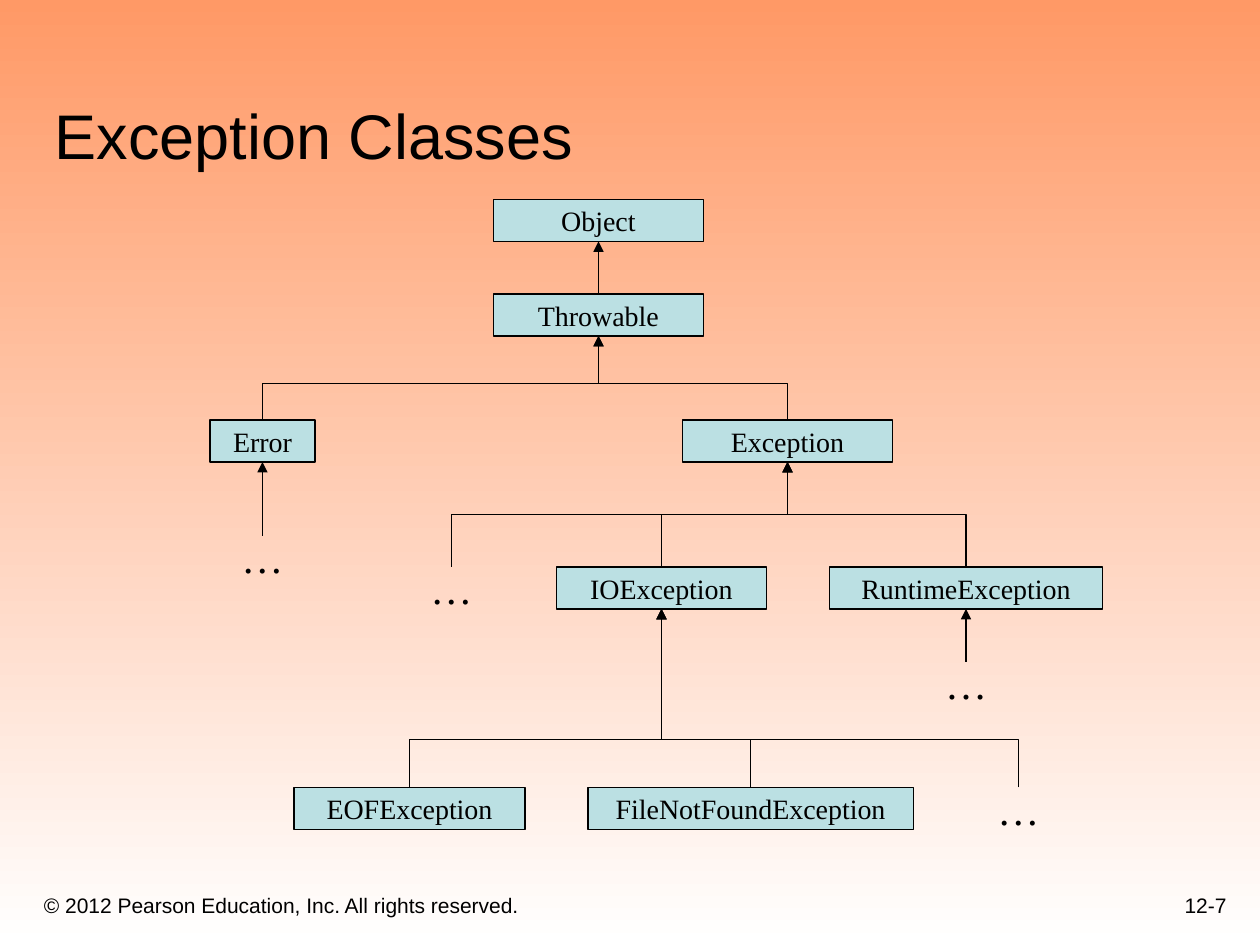
from lxml import etree
from pptx import Presentation
from pptx.dml.color import RGBColor
from pptx.enum.shapes import MSO_CONNECTOR, MSO_SHAPE
from pptx.enum.text import MSO_ANCHOR, PP_ALIGN
from pptx.oxml.ns import qn
from pptx.util import Inches, Pt

LEFT, CENTER, RIGHT = PP_ALIGN.LEFT, PP_ALIGN.CENTER, PP_ALIGN.RIGHT
MIDDLE, BOTTOM = MSO_ANCHOR.MIDDLE, MSO_ANCHOR.BOTTOM
STRAIGHT, ELBOW = MSO_CONNECTOR.STRAIGHT, MSO_CONNECTOR.ELBOW
RECTANGLE = MSO_SHAPE.RECTANGLE

TITLE_ONLY = 5
UNIT = Inches(1) // 12  # grid of 120 columns by 90 rows
BOX_ROWS = 4
DOTS_COLUMNS = 8
TOP_SITE, BOTTOM_SITE = 0, 2

# name: (column, row, columns)
CLASSES = {
    "Object": (47, 19, 20),
    "Throwable": (47, 28, 20),
    "Exception": (65, 40, 20),
    "Error": (20, 40, 10),
    "RuntimeException": (79, 54, 26),
    "IOException": (53, 54, 20),
    "FileNotFoundException": (56, 75, 31),
    "EOFException": (28, 75, 22),
}
# parent class of the further subclasses: (column, row)
MORE_SUBCLASSES = {
    "Error": (21, 51),
    "RuntimeException": (88, 63),
    "IOException": (93, 75),
    "Exception": (39, 54),
}
# parent: (children, share of the way up at which the branch bends)
BRANCHES = {
    "Object": (["Throwable"], 0.5),
    "Throwable": (["Error", "Exception"], 0.43),
    "Error": ([], 0.5),
    "Exception": (["IOException", "RuntimeException"], 0.5),
    "RuntimeException": ([], 0.5),
    "IOException": (["FileNotFoundException", "EOFException"], 0.27),
}


def color(value):
    return RGBColor.from_string(value)


def middle(shape):
    return shape.left + shape.width // 2


class ClassDiagram:
    """Holds the style and the slide that is being drawn."""
    ink = "000000"
    box_fill = "BBE0E3"
    background = ("FF9966", "FFFFFF")
    sans, serif = "Arial", "Times New Roman"
    line_width = Pt(0.75)

    def __init__(self, presentation):
        self.slide = presentation.slides.add_slide(
            presentation.slide_layouts[TITLE_ONLY])
        fill = self.slide.background.fill
        fill.gradient()
        fill.gradient_angle = 270
        for stop, value in zip(fill.gradient_stops, self.background):
            stop.color.rgb = color(value)

    def add_text(self, shape, text, size, font, align, anchor, wrap=True):
        frame = shape.text_frame
        frame.word_wrap = wrap
        frame.vertical_anchor = anchor
        paragraph = frame.paragraphs[0]
        paragraph.alignment = align
        run = paragraph.add_run()
        run.text = text
        run.font.size = Pt(size)
        run.font.name = font
        run.font.color.rgb = color(self.ink)

    def title(self, text, column, row, columns, rows):
        shape = self.slide.shapes.title
        shape.left, shape.top, shape.width, shape.height = (
            length * UNIT for length in (column, row, columns, rows))
        self.add_text(shape, text, 36, self.sans, LEFT, BOTTOM)

    def footer(self, text, column, row, columns, rows, align):
        shape = self.slide.shapes.add_textbox(
            *(length * UNIT for length in (column, row, columns, rows)))
        self.add_text(shape, text, 12, self.sans, align, BOTTOM)

    def class_box(self, name, column, row, columns):
        shape = self.slide.shapes.add_shape(
            RECTANGLE, column * UNIT, row * UNIT, columns * UNIT, BOX_ROWS * UNIT)
        shape.shadow.inherit = False
        shape.fill.solid()
        shape.fill.fore_color.rgb = color(self.box_fill)
        shape.line.color.rgb = color(self.ink)
        shape.line.width = self.line_width
        self.add_text(shape, name, 16, self.serif, CENTER, MIDDLE, wrap=False)
        return shape

    def dots(self, column, row):
        shape = self.slide.shapes.add_textbox(
            column * UNIT, row * UNIT, DOTS_COLUMNS * UNIT, BOX_ROWS * UNIT)
        self.add_text(shape, "…", 24, self.serif, CENTER, MIDDLE, wrap=False)
        return shape

    def inherit(self, child, parent, bend):
        """Draw the arrow from the top of child to the bottom of parent."""
        start = middle(child), child.top
        end = middle(parent), parent.top + parent.height
        straight = start[0] == end[0]
        connector = self.slide.shapes.add_connector(
            STRAIGHT if straight else ELBOW, *start, *end)
        if straight:
            connector.begin_connect(child, TOP_SITE)
            connector.end_connect(parent, BOTTOM_SITE)
        else:
            self.turn_upright(connector, start, end, bend)
        connector.line.color.rgb = color(self.ink)
        connector.line.width = self.line_width
        properties = connector._element.spPr
        etree.SubElement(properties.find(qn("a:ln")), qn("a:tailEnd"), type="triangle")
        etree.SubElement(properties, qn("a:effectLst"))

    def turn_upright(self, connector, start, end, bend):
        """Turn an elbow so that it leaves and arrives vertically."""
        width, height = abs(end[0] - start[0]), start[1] - end[1]
        connector.left = (start[0] + end[0] - height) // 2
        connector.top = (start[1] + end[1] - width) // 2
        connector.width, connector.height = height, width
        from_left = start[0] < end[0]
        properties = connector._element.spPr
        transform = properties.find(qn("a:xfrm"))
        transform.set("rot", str((90 if from_left else 270) * 60000))
        transform.set("flipH", "1" if from_left else "0")
        transform.set("flipV", "1")
        adjustments = properties.find(qn("a:prstGeom")).find(qn("a:avLst"))
        etree.SubElement(adjustments, qn("a:gd"), name="adj1",
                         fmla=f"val {round(bend * 100000)}")


def main():
    presentation = Presentation()
    presentation.slide_width, presentation.slide_height = 120 * UNIT, 90 * UNIT
    diagram = ClassDiagram(presentation)
    diagram.title("Exception Classes", 4, 4, 113, 13)
    diagram.footer("© 2012 Pearson Education, Inc. All rights reserved.",
                   3, 83, 73, 5, LEFT)
    diagram.footer("12-7", 93, 82, 25, 6, RIGHT)

    boxes = {name: diagram.class_box(name, *place) for name, place in CLASSES.items()}
    more = {name: diagram.dots(*place) for name, place in MORE_SUBCLASSES.items()}
    for parent, (children, bend) in BRANCHES.items():
        subclasses = [boxes[name] for name in children]
        if parent in more:
            subclasses.append(more[parent])
        for subclass in subclasses:
            diagram.inherit(subclass, boxes[parent], bend)

    presentation.save("out.pptx")


if __name__ == "__main__":
    main()
